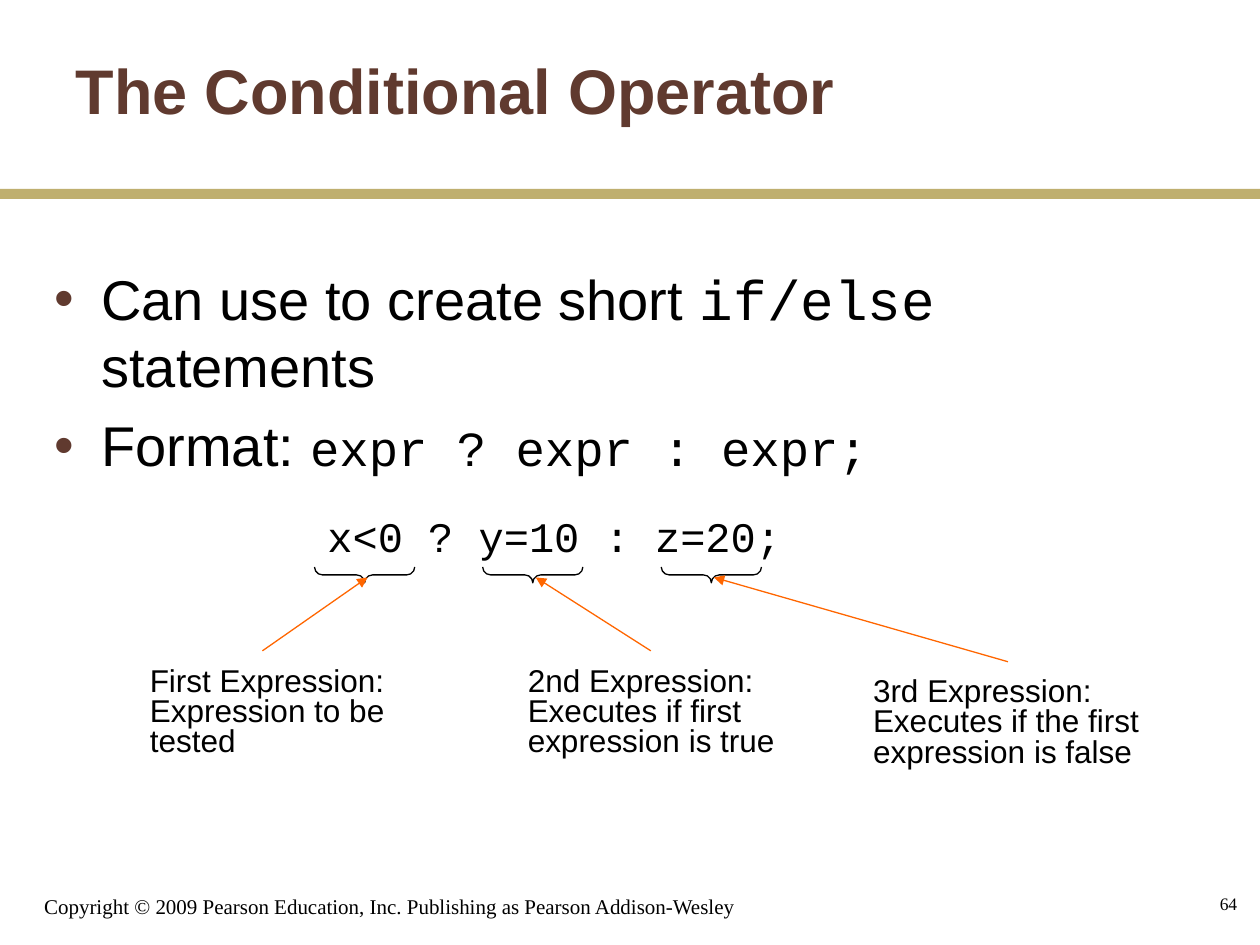
import pptx
import pptx.util
import pptx.dml.color
import pptx.enum.shapes
import pptx.enum.text
import pptx.oxml
import pptx.oxml.ns
from pptx.util import Cm, Pt

SANS, MONO, SERIF = "Arial", "Courier New", "Times New Roman"
BLACK, BROWN, GOLD, ORANGE = "000000", "603A2F", "BFAF6F", "FF6600"
ANCHOR = pptx.enum.text.MSO_ANCHOR
ALIGN = pptx.enum.text.PP_ALIGN
SHAPE = pptx.enum.shapes.MSO_SHAPE


def rgb(color):
    """Return the colour for a hex string."""
    return pptx.dml.color.RGBColor.from_string(color)


def style(font, size, name, color=BLACK, bold=False):
    """Set size, typeface, colour and weight of a font."""
    font.size, font.name, font.bold = Pt(size), name, bold
    font.color.rgb = rgb(color)


def place(sp, box):
    """Move and size a shape to left, top, width, height in centimetres."""
    sp.left, sp.top, sp.width, sp.height = (Cm(v) for v in box)


def add_sub(parent, tag, **attrs):
    """Append a drawing element with attributes and return it."""
    child = pptx.oxml.parse_xml(f"<{tag} {pptx.oxml.ns.nsdecls('a')}/>")
    for key, value in attrs.items():
        child.set(key, value)
    parent.append(child)
    return child


def add_text(s, box, lines, size, name, wrap=False, anchor=ANCHOR.TOP,
             align=ALIGN.LEFT, spacing=None):
    """Add a text box with one paragraph per line."""
    tf = s.shapes.add_textbox(*(Cm(v) for v in box)).text_frame
    tf.word_wrap, tf.vertical_anchor = wrap, anchor
    for i, line in enumerate(lines):
        p = tf.add_paragraph() if i else tf.paragraphs[0]
        p.text, p.alignment, p.line_spacing = line, align, spacing
        style(p.font, size, name)


def add_title(s, text):
    """Fill and place the title placeholder."""
    sp = s.shapes.title
    place(sp, (1.27, 0.21, 21.16, 3.18))
    tf = sp.text_frame
    tf.auto_size = pptx.enum.text.MSO_AUTO_SIZE.NONE
    tf.vertical_anchor = ANCHOR.MIDDLE
    p = tf.paragraphs[0]
    p.text, p.alignment = text, ALIGN.LEFT
    style(p.font, 36, SANS, BROWN, True)


def add_bullets(s, items):
    """Fill the body placeholder with bullets made of styled runs."""
    sp = s.placeholders[1]
    place(sp, (0.84, 5.2, 23.04, 12.6))
    tf = sp.text_frame
    tf.auto_size = pptx.enum.text.MSO_AUTO_SIZE.NONE
    for i, runs in enumerate(items):
        p = tf.add_paragraph() if i else tf.paragraphs[0]
        pPr = p._p.get_or_add_pPr()
        pPr.set("marL", str(Cm(0.95)))
        pPr.set("indent", str(-Cm(0.95)))
        add_sub(add_sub(pPr, "a:buClr"), "a:srgbClr", val=BROWN)
        add_sub(pPr, "a:buFont", typeface=SANS)
        add_sub(pPr, "a:buChar", char="•")
        p.space_before = Pt(7 if i else 0)
        for text, size, name in runs:
            r = p.add_run()
            r.text = text
            style(r.font, size, name)


def add_rule(s):
    """Add the full-width bar under the title."""
    sp = s.shapes.add_shape(SHAPE.RECTANGLE, 0, Cm(3.81), Cm(25.4), Cm(0.2))
    sp.shadow.inherit = False
    sp.fill.solid()
    sp.fill.fore_color.rgb = rgb(GOLD)
    sp.line.fill.background()


def add_brace(s, x, y=11.59, depth=0.32, span=2.02):
    """Add a brace centred at x, y with its point downwards."""
    sp = s.shapes.add_shape(SHAPE.RIGHT_BRACE, Cm(x - depth / 2),
                            Cm(y - span / 2), Cm(depth), Cm(span))
    sp.rotation = 90
    sp.adjustments[0] = 0.5
    sp.shadow.inherit = False
    sp.fill.background()
    sp.line.color.rgb = rgb(BLACK)
    sp.line.width = Pt(0.75)


def add_arrow(s, *ends):
    """Add an arrow between two points given in centimetres."""
    c = s.shapes.add_connector(pptx.enum.shapes.MSO_CONNECTOR.STRAIGHT,
                               *(Cm(v) for v in ends))
    c.line.color.rgb = rgb(ORANGE)
    c.line.width = Pt(0.75)
    add_sub(c.line._get_or_add_ln(), "a:tailEnd", type="triangle")
    add_sub(c._element.spPr, "a:effectLst")


def main():
    """Build the slide and save it."""
    prs = pptx.Presentation()
    prs.slide_width, prs.slide_height = Cm(25.4), Cm(19.05)
    s = prs.slides.add_slide(prs.slide_layouts[1])

    add_rule(s)
    add_title(s, "The Conditional Operator")
    add_bullets(s, [
        [("Can use to create short ", 32, SANS), ("if/else", 32, MONO),
         (" statements", 32, SANS)],
        [("Format: ", 32, SANS), ("expr ? expr : expr;", 28, MONO)],
    ])
    add_text(s, (6.35, 10.16, 9.65, 1.27), ["x<0 ? y=10 : z=20;"], 24, MONO)

    parts = [
        (7.35, (2.77, 13.34, 5.23, 2.08), (5.29, 13.12, 7.41, 11.64),
         ["First Expression:", "Expression to be", "tested"]),
        (10.74, (10.39, 13.34, 5.49, 2.08), (13.12, 13.12, 10.8, 11.64),
         ["2nd Expression:", "Executes if first", "expression is true"]),
        (14.34, (17.35, 13.55, 5.87, 2.08), (20.32, 13.34, 14.39, 11.64),
         ["3rd Expression:", "Executes if the first", "expression is false"]),
    ]
    for brace_x, label_box, arrow, lines in parts:
        add_brace(s, brace_x)
        add_arrow(s, *arrow)
        add_text(s, label_box, lines, 18, SANS, spacing=0.8)

    add_text(s, (0.64, 17.58, 15.44, 1.06),
             ["Copyright © 2009 Pearson Education, Inc. "
              "Publishing as Pearson Addison-Wesley"],
             12, SERIF, wrap=True, anchor=ANCHOR.BOTTOM)
    add_text(s, (19.9, 17.58, 5.29, 1.27), ["64"], 10, SERIF, wrap=True,
             anchor=ANCHOR.MIDDLE, align=ALIGN.RIGHT)
    prs.save("out.pptx")


if __name__ == "__main__":
    main()
